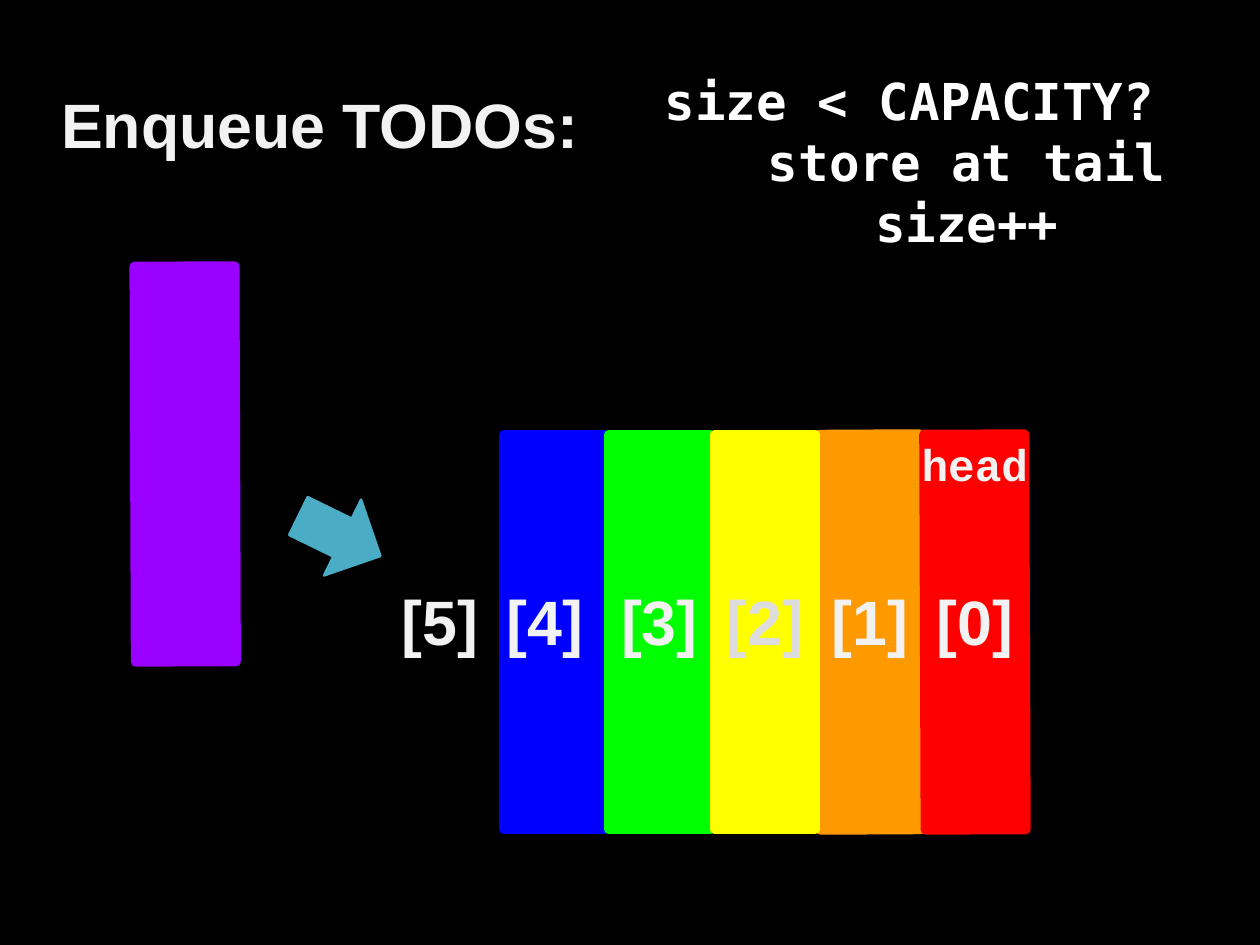
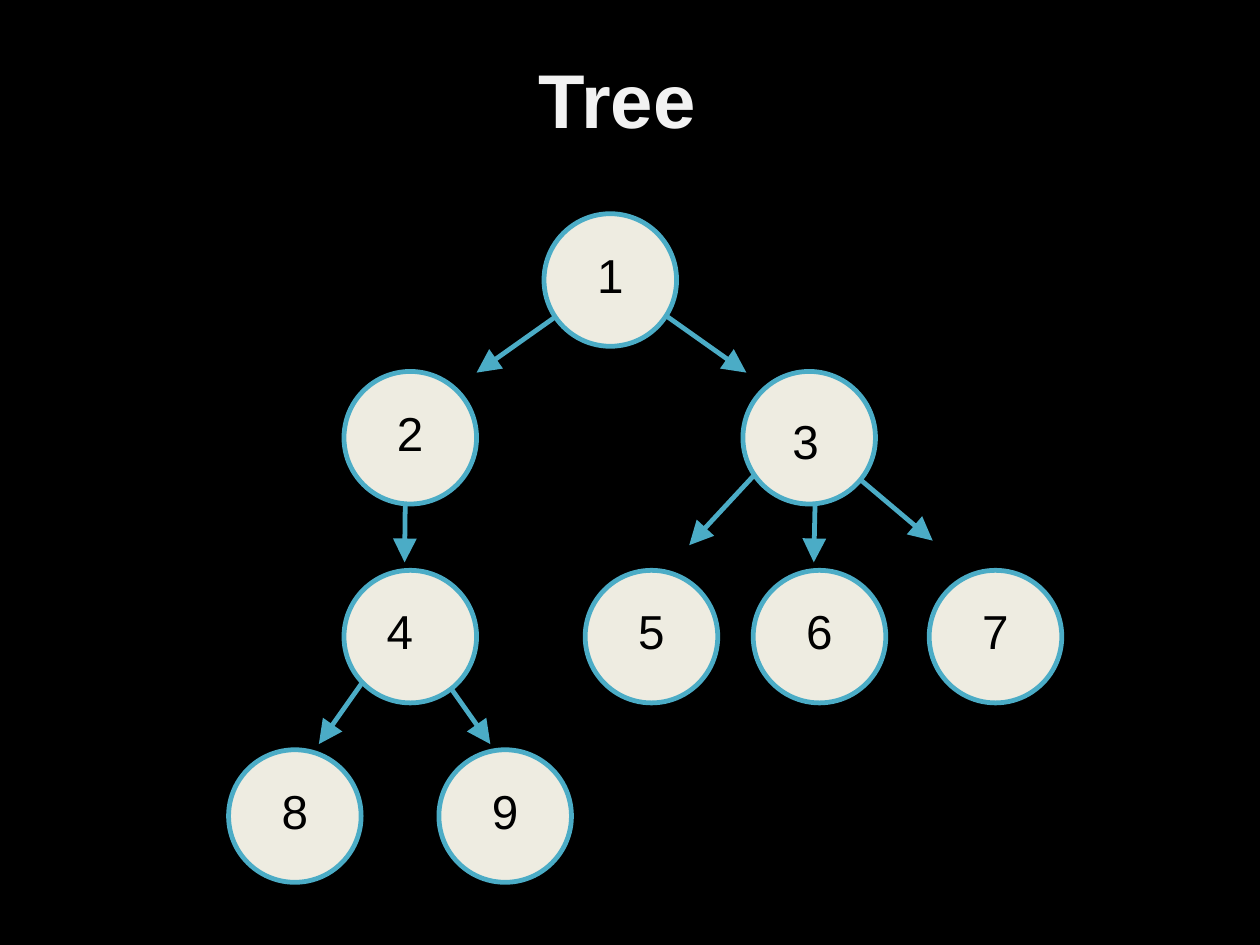
from dataclasses import dataclass

from lxml.etree import SubElement
from pptx import Presentation
from pptx.dml.color import RGBColor
from pptx.enum.shapes import MSO_CONNECTOR, MSO_SHAPE
from pptx.enum.text import MSO_ANCHOR, MSO_AUTO_SIZE, PP_ALIGN
from pptx.oxml.ns import qn
from pptx.util import Inches, Pt


@dataclass(frozen=True)
class Theme:
    black: str = "000000"
    white: str = "FFFFFF"
    light: str = "F2F2F2"
    grey: str = "DDDDDD"
    teal: str = "4BACC6"
    cream: str = "EEECE1"
    purple: str = "9900FF"
    sans: str = "Arial"
    mono: str = "DejaVu Sans Mono"
    courier: str = "Courier New"
    title: float = 48
    heading: float = 39.5
    code: float = 32
    node: float = 30
    tag: float = 28


T = Theme()

# 28 by 21 centimetres
SLIDE_W, SLIDE_H = Inches(28 / 2.54), Inches(21 / 2.54)

# (text, left indent)
CODE = [("size < CAPACITY?", 0), ("store at tail", 1), ("size++", 1)]

# (queue index, colour, rotation), back to front
BARS = [
    (4, "0000FF", 0),
    (3, "00FF00", 0),
    (1, "FF9900", -0.3),
    (2, "FFFF00", 0),
    (0, "FF0000", -0.2),
]
BAR_W, BAR_H = 0.88, 3.46
HEAD_X, BAR_Y, STEP = 8.53, 5.53, 0.92

NODE_D = 1.16
ROW_Y = [2.45, 3.83, 5.57, 7.14]
# label: (centre x, row)
NODES = {
    "1": (5.34, 0),
    "2": (3.59, 1), "3": (7.08, 1),
    "4": (3.59, 2), "5": (5.7, 2), "6": (7.17, 2), "7": (8.71, 2),
    "8": (2.58, 3), "9": (4.42, 3),
}
LABEL_SHIFT = {"3": (-0.03, 0.02), "4": (-0.09, -0.05)}
EDGES = [
    ((5.06, 2.63), (4.17, 3.26)),
    ((5.64, 2.63), (6.53, 3.26)),
    ((3.55, 3.99), (3.54, 4.92)),
    ((6.67, 4.08), (6.03, 4.77)),
    ((7.14, 3.99), (7.12, 4.92)),
    ((7.39, 4.08), (8.16, 4.73)),
    ((3.27, 5.83), (2.79, 6.51)),
    ((3.81, 5.83), (4.29, 6.51)),
]


def rgb(color):
    return RGBColor.from_string(color)


def centred(x, y, w, h):
    """Box of size w by h around the point x, y."""
    return [Inches(v) for v in (x - w / 2, y - h / 2, w, h)]


def write(tf, lines, size, color=T.light, font=T.sans, bold=True, shift=(0, 0)):
    """Fill a frame with centred (text, indent) lines; shift moves the text off centre."""
    dx, dy = shift
    tf.word_wrap = True
    tf.auto_size = MSO_AUTO_SIZE.NONE
    tf.vertical_anchor = MSO_ANCHOR.MIDDLE
    tf.margin_left, tf.margin_right = Inches(max(2 * dx, 0)), Inches(max(-2 * dx, 0))
    tf.margin_top, tf.margin_bottom = Inches(max(2 * dy, 0)), Inches(max(-2 * dy, 0))
    for i, (text, indent) in enumerate(lines):
        p = tf.add_paragraph() if i else tf.paragraphs[0]
        p.alignment = PP_ALIGN.CENTER
        p.space_before = Pt(0)
        if indent:
            p._p.get_or_add_pPr().set("marL", str(Inches(indent)))
        r = p.add_run()
        r.text = text
        r.font.name, r.font.size, r.font.bold = font, Pt(size), bold
        r.font.color.rgb = rgb(color)


def add_text(s, box, lines, size, **fmt):
    write(s.shapes.add_textbox(*box).text_frame, lines, size, **fmt)


def add_shape(s, kind, box, fill, line, width, rotation=0):
    sp = s.shapes.add_shape(kind, *box)
    sp.shadow.inherit = False
    sp.fill.solid()
    sp.fill.fore_color.rgb = rgb(fill)
    sp.line.color.rgb = rgb(line)
    sp.line.width = Pt(width)
    sp.rotation = rotation
    return sp


def add_bar(s, x, y, color, rotation):
    add_shape(s, MSO_SHAPE.RECTANGLE, centred(x, y, BAR_W, BAR_H), color, color, 6, rotation)


def add_arrow(s, start, end):
    c = s.shapes.add_connector(MSO_CONNECTOR.STRAIGHT, *map(Inches, start + end))
    c.line.color.rgb = rgb(T.teal)
    c.line.width = Pt(3)
    SubElement(c.line._get_or_add_ln(), qn("a:tailEnd"), type="triangle", w="lg", len="lg")
    SubElement(c._element.spPr, qn("a:effectLst"))


def new_slide(prs, title, box, size):
    s = prs.slides.add_slide(prs.slide_layouts[5])
    sp = s.shapes.title
    sp.left, sp.top, sp.width, sp.height = box
    write(sp.text_frame, [(title, 0)], size)
    return s


def queue_slide(prs):
    s = new_slide(prs, "Enqueue TODOs:", centred(2.8, 1.08, 5, 2.11), T.heading)
    add_bar(s, 1.62, 4.06, T.purple, -0.2)
    for i, color, rotation in BARS:
        add_bar(s, HEAD_X - i * STEP, BAR_Y, color, rotation)
    add_shape(s, MSO_SHAPE.RIGHT_ARROW, centred(2.97, 4.69, 0.8, 0.74), T.teal, T.teal, 1.5, 26)
    for i in range(len(BARS) + 1):
        x = HEAD_X - i * STEP - (0.08 if i > 3 else 0)
        add_text(s, centred(x, 5.43, 1.5, 1.1), [(f"[{i}]", 0)], T.heading,
                 color=T.grey if i == 2 else T.light)
    add_text(s, centred(HEAD_X, 4.06, 1.86, 1.1), [("head", 0)], T.tag, font=T.courier)
    add_text(s, centred(7.96, 1.41, 6, 1.7), CODE, T.code, color=T.white, font=T.mono)


def tree_slide(prs):
    s = new_slide(prs, "Tree", centred(5.4, 0.86, 9.08, 1.7), T.title)
    for start, end in EDGES:
        add_arrow(s, start, end)
    for label, (x, row) in NODES.items():
        sp = add_shape(s, MSO_SHAPE.OVAL, centred(x, ROW_Y[row], NODE_D, NODE_D),
                       T.cream, T.teal, 3)
        write(sp.text_frame, [(label, 0)], T.node, color=T.black, bold=False,
              shift=LABEL_SHIFT.get(label, (0, -0.05)))


def main():
    prs = Presentation()
    prs.slide_width, prs.slide_height = SLIDE_W, SLIDE_H
    bg = prs.slide_master.background.fill
    bg.solid()
    bg.fore_color.rgb = rgb(T.black)
    queue_slide(prs)
    tree_slide(prs)
    prs.save("out.pptx")


if __name__ == "__main__":
    main()
